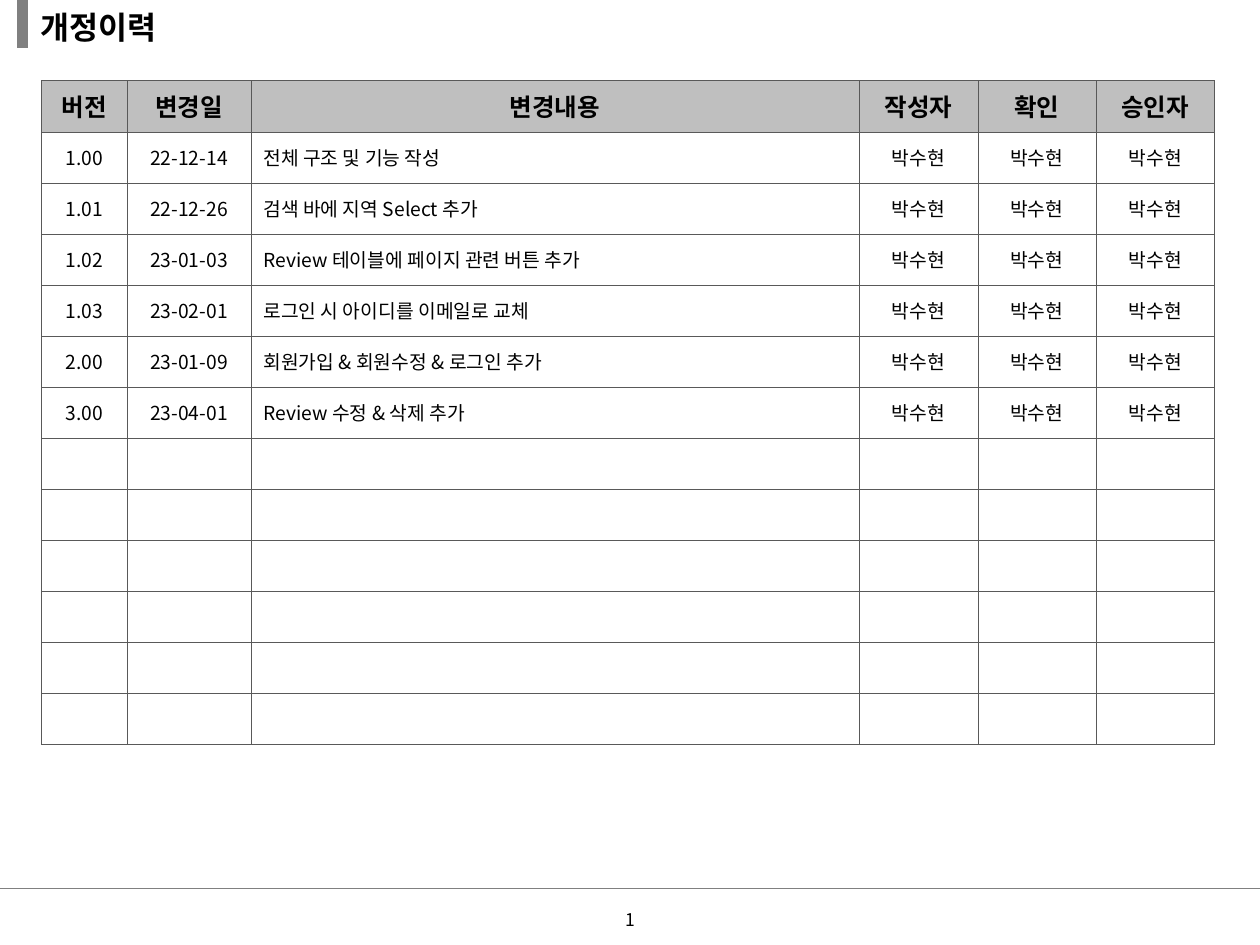
import pptx
import pptx.util
import pptx.dml.color
import pptx.enum.shapes
import pptx.enum.text
import pptx.oxml
import pptx.oxml.ns

Inches = pptx.util.Inches
Pt = pptx.util.Pt
RGBColor = pptx.dml.color.RGBColor
ALIGN = pptx.enum.text.PP_ALIGN
MIDDLE = pptx.enum.text.MSO_ANCHOR.MIDDLE
qn = pptx.oxml.ns.qn

FONT = "Noto Sans CJK KR"
BLACK = RGBColor(0x00, 0x00, 0x00)
GRAY = RGBColor(0x80, 0x80, 0x80)
HEAD = RGBColor(0xBF, 0xBF, 0xBF)
EDGE = RGBColor(0x59, 0x59, 0x59)


def add_text(para, text, size, bold=False, align=ALIGN.CENTER):
    para.alignment = align
    run = para.add_run()
    run.text = text
    font = run.font
    font.size, font.bold, font.name = Pt(size), bold, FONT
    font.color.rgb = BLACK
    east = pptx.oxml.parse_xml(
        f'<a:ea {pptx.oxml.ns.nsdecls("a")} typeface="{FONT}"/>')
    run._r.get_or_add_rPr().append(east)


def add_edges(cell):
    props = cell._tc.get_or_add_tcPr()
    for pos, side in enumerate(("lnL", "lnR", "lnT", "lnB")):
        props.insert(pos, pptx.oxml.parse_xml(
            f'<a:{side} {pptx.oxml.ns.nsdecls("a")} w="{Pt(0.25)}">'
            f'<a:solidFill><a:srgbClr val="{EDGE}"/></a:solidFill></a:{side}>'))


deck = pptx.Presentation()
deck.slide_width, deck.slide_height = Inches(10), Inches(7.5)
slide = deck.slides.add_slide(deck.slide_layouts[5])
shapes = slide.shapes

# Footer rule and title bar
for x1, y1, x2, y2, width in ((0, 7.05, 10, 7.05, 0.75),
                              (0.18, -0.02, 0.18, 0.38, 6)):
    line = shapes.add_connector(
        pptx.enum.shapes.MSO_CONNECTOR.STRAIGHT,
        Inches(x1), Inches(y1), Inches(x2), Inches(y2))
    line.line.color.rgb = GRAY
    line.line.width = Pt(width)
    line._element.spPr.append(pptx.oxml.parse_xml(
        f'<a:effectLst {pptx.oxml.ns.nsdecls("a")}/>'))

# Page number
page = shapes.add_textbox(Inches(0), Inches(7.1), Inches(10), Inches(0.4))
page.text_frame.word_wrap = True
page.text_frame.vertical_anchor = MIDDLE
add_text(page.text_frame.paragraphs[0], "1", 10)

# Revision table
heads = ("버전", "변경일", "변경내용", "작성자", "확인", "승인자")
edits = (
    ("1.00", "22-12-14", "전체 구조 및 기능 작성"),
    ("1.01", "22-12-26", "검색 바에 지역 Select 추가"),
    ("1.02", "23-01-03", "Review 테이블에 페이지 관련 버튼 추가"),
    ("1.03", "23-02-01", "로그인 시 아이디를 이메일로 교체"),
    ("2.00", "23-01-09", "회원가입 & 회원수정 & 로그인 추가"),
    ("3.00", "23-04-01", "Review 수정 & 삭제 추가"),
)
rows = [heads] + [edit + ("박수현",) * 3 for edit in edits]
rows += [("",) * len(heads)] * 6
high = Inches(5.27)
table = shapes.add_table(len(rows), len(heads), Inches(0.33), Inches(0.64),
                         Inches(9.3), high).table
table.horz_banding = False
for col, width in zip(table.columns, (0.68, 0.98, 4.83, 0.94, 0.94, 0.94)):
    col.width = Inches(width)
for r, row in enumerate(rows):
    table.rows[r].height = high // len(rows)
    for c, text in enumerate(row):
        cell = table.cell(r, c)
        cell.vertical_anchor = MIDDLE
        para = cell.text_frame.paragraphs[0]
        if r == 0:
            cell.fill.solid()
            cell.fill.fore_color.rgb = HEAD
            add_text(para, text, 14, True)
        else:
            cell.fill.background()
            if text:
                add_text(para, text, 11,
                         align=ALIGN.LEFT if c == 2 else ALIGN.CENTER)
            else:
                # Keeps blank rows from growing past their height
                para._p.get_or_add_endParaRPr().set("sz", "1100")
        add_edges(cell)

# Title
title = shapes.title
title.left, title.top = Inches(0.22), Inches(0)
title.width, title.height = Inches(2.97), Inches(0.42)
title.text_frame.vertical_anchor = MIDDLE
add_text(title.text_frame.paragraphs[0], "개정이력", 18, True, ALIGN.LEFT)

deck.save("out.pptx")
